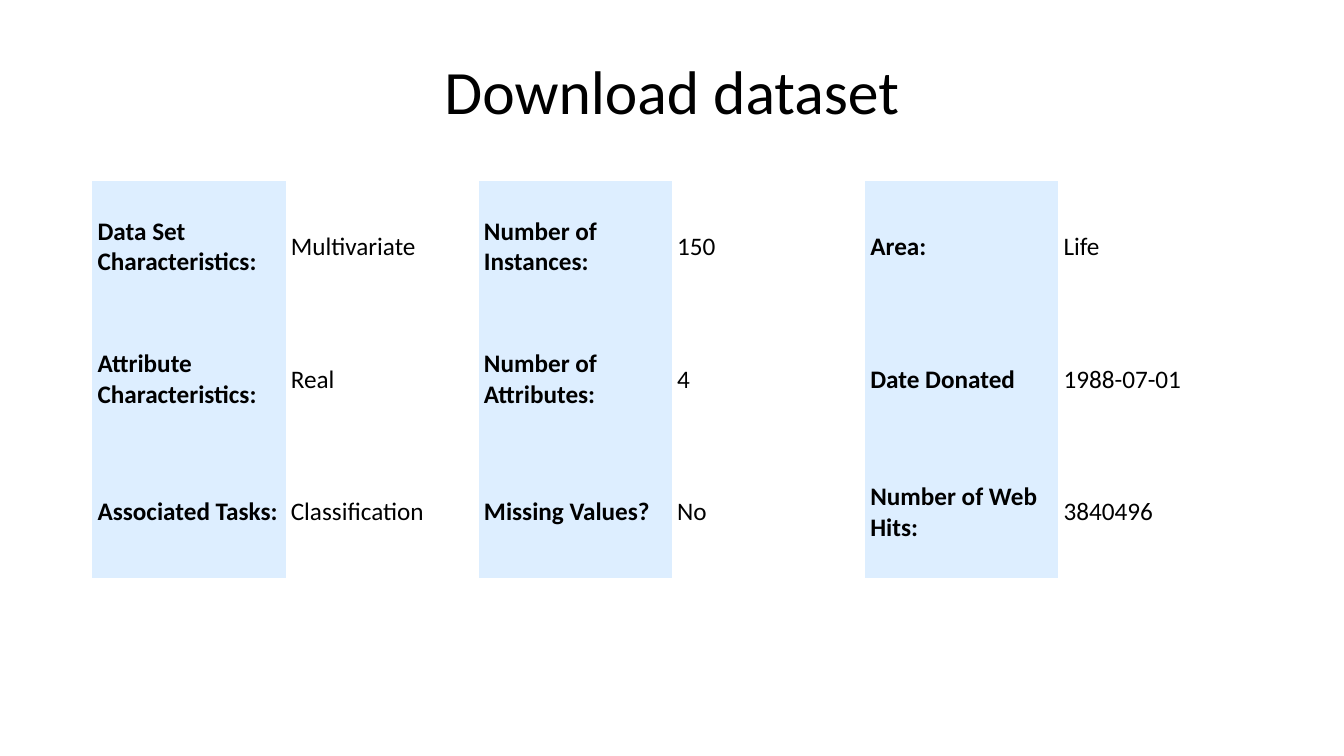
from pptx import Presentation
from pptx.dml.color import RGBColor
from pptx.enum.text import MSO_ANCHOR, PP_ALIGN
from pptx.oxml.ns import qn
from pptx.util import Pt

TITLE = "Download dataset"
# Labels and values alternate along each row.
ROWS = [
    ("Data Set Characteristics:", "Multivariate", "Number of Instances:", "150",
     "Area:", "Life"),
    ("Attribute Characteristics:", "Real", "Number of Attributes:", "4",
     "Date Donated", "1988-07-01"),
    ("Associated Tasks:", "Classification", "Missing Values?", "No",
     "Number of Web Hits:", "3840496"),
]

FONT = "Calibri"
BLACK = "000000"
LABEL_FILL = "DDEEFF"
NO_STYLE_NO_GRID = "{2D5ABB26-0587-4C30-8999-92F81FD0307C}"

SLIDE_W, SLIDE_H = 1280, 720
LEFT, WIDTH = 88, 1104
TITLE_TOP, TITLE_H = 38, 105
TABLE_TOP, TABLE_H = 172, 379
CELL_INSET = 5


def px(n):
    """Turn pixels (96 to the inch) into EMU."""
    return round(n * 9525)


def color(hex_str):
    return RGBColor.from_string(hex_str)


def set_font(p, size, bold=False):
    p.font.name = FONT
    p.font.size = Pt(size)
    p.font.bold = bold
    p.font.color.rgb = color(BLACK)


def add_title(slide):
    title = slide.shapes.title
    title.left, title.top = px(LEFT), px(TITLE_TOP)
    title.width, title.height = px(WIDTH), px(TITLE_H)
    tf = title.text_frame
    tf.text = TITLE
    tf.vertical_anchor = MSO_ANCHOR.MIDDLE
    p = tf.paragraphs[0]
    p.alignment = PP_ALIGN.CENTER
    p.line_spacing = 0.9
    set_font(p, 44)


def fill_cell(cell, text, is_label):
    cell.text = text
    cell.vertical_anchor = MSO_ANCHOR.MIDDLE
    cell.margin_left = cell.margin_right = px(CELL_INSET)
    cell.margin_top = cell.margin_bottom = px(CELL_INSET)
    if is_label:
        cell.fill.solid()
        cell.fill.fore_color.rgb = color(LABEL_FILL)
    else:
        cell.fill.background()
    set_font(cell.text_frame.paragraphs[0], 18, bold=is_label)


def add_facts_table(slide):
    frame = slide.shapes.add_table(len(ROWS), len(ROWS[0]), px(LEFT), px(TABLE_TOP),
                                   px(WIDTH), px(TABLE_H))
    for style_id in frame.element.iter(qn("a:tableStyleId")):
        style_id.text = NO_STYLE_NO_GRID
    table = frame.table
    table.first_row = table.horz_banding = False
    for r, row in enumerate(ROWS):
        for c, text in enumerate(row):
            fill_cell(table.cell(r, c), text, is_label=c % 2 == 0)


def main():
    prs = Presentation()
    prs.slide_width, prs.slide_height = px(SLIDE_W), px(SLIDE_H)
    slide = prs.slides.add_slide(prs.slide_layouts[5])
    add_title(slide)
    add_facts_table(slide)
    prs.save("out.pptx")


if __name__ == "__main__":
    main()
